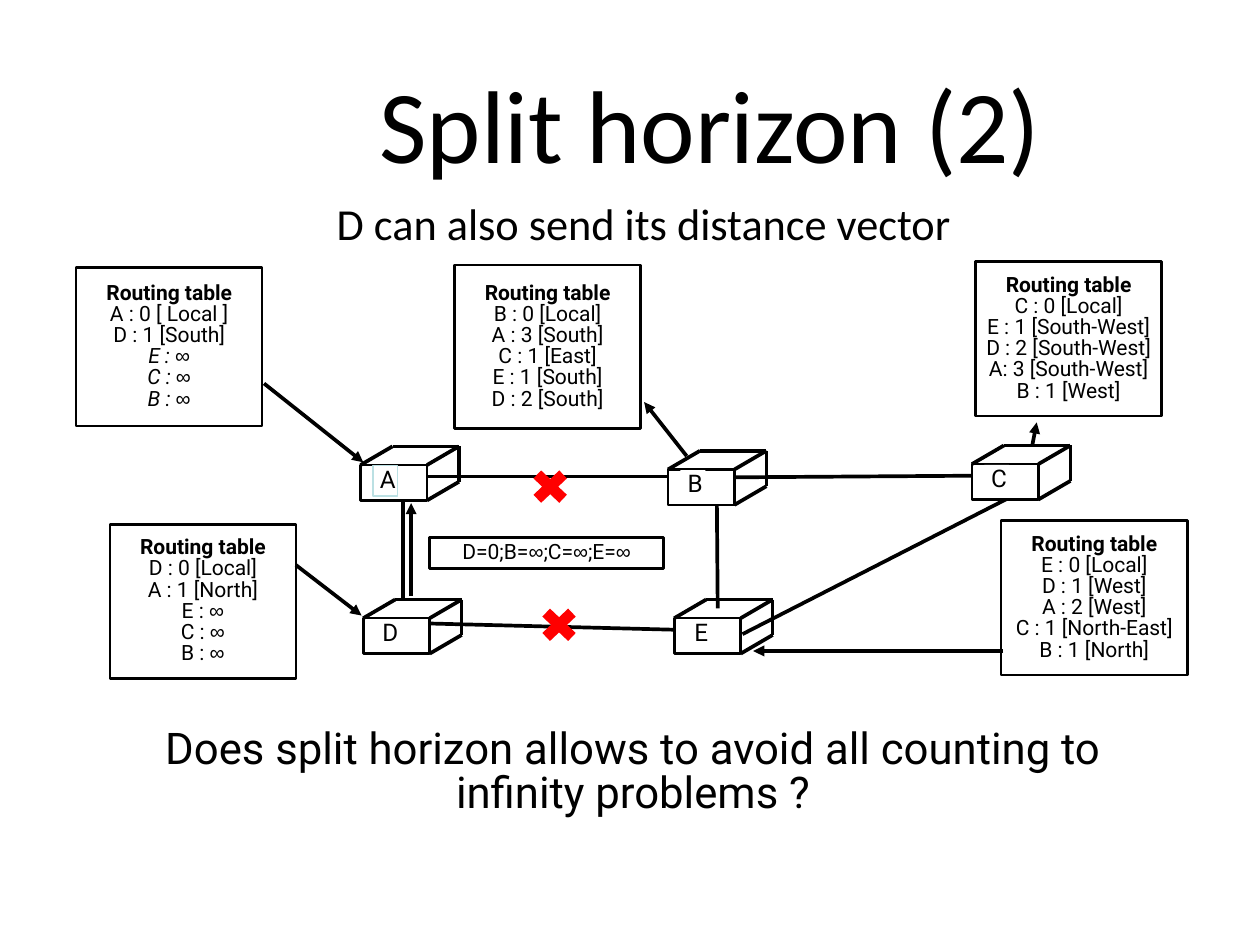
from itertools import groupby

from lxml import etree
from pptx import Presentation
from pptx.dml.color import RGBColor
from pptx.enum.shapes import MSO_CONNECTOR, MSO_SHAPE
from pptx.enum.text import MSO_ANCHOR, PP_ALIGN
from pptx.oxml.ns import qn
from pptx.util import Inches, Pt

COLORS = {"ink": "000000", "paper": "FFFFFF", "frame": "BBE0E3", "failure": "FF0000"}

ROUTERS = {
    "A": (4.07, 5.25),
    "B": (7.54, 5.3),
    "C": (10.97, 5.24),
    "D": (4.1, 6.98),
    "E": (7.61, 6.98),
}

LINKS = [
    (4.55, 5.63, 4.55, 6.77),
    (4.84, 7.04, 7.98, 7.12),
    (4.77, 5.38, 7.94, 5.38),
    (8.09, 5.61, 8.1, 6.87),
    (8.38, 7.16, 11.37, 5.63),
    (8.24, 5.39, 11.22, 5.37),
]

ARROWS = [
    (2.98, 4.33, 4.1, 5.22),
    (7.75, 5.15, 7.27, 4.54),
    (11.65, 5.03, 11.7, 4.77),
    (11.32, 7.35, 8.5, 7.35),
    (3.34, 6.38, 4.08, 6.95),
    (4.64, 6.73, 4.64, 5.68),
]

TABLES = [
    (0.86, 3.02, 1.79, True,
     ["A : 0 [ Local ]", "D : 1 [South]", "E : ∞", "C : ∞", "B : ∞"]),
    (5.13, 2.99, 1.85, False,
     ["B : 0 [Local]", "A : 3 [South]", "C : 1 [East]", "E : 1 [South]", "D : 2 [South]"]),
    (11.01, 2.95, 1.75, False,
     ["C : 0 [Local]", "E : 1 [South-West]", "D : 2 [South-West]",
      "A: 3 [South-West]", "B : 1 [West]"]),
    (1.24, 5.92, 1.74, False,
     ["D : 0 [Local]", "A : 1 [North]", "E : ∞", "C : ∞", "B : ∞"]),
    (11.3, 5.88, 1.74, False,
     ["E : 0 [Local]", "D : 1 [West]", "A : 2 [West]", "C : 1 [North-East]", "B : 1 [North]"]),
]

FAILURES = [(5.93, 5.23), (6.03, 6.79)]


class Diagram:
    font = "Roboto"
    symbol_font = "Arial"
    heading_font = "Calibri"
    spacing = 0.84
    table_size = 17.1

    def __init__(self, slide):
        self.slide = slide

    def color(self, name):
        return RGBColor.from_string(COLORS[name])

    def frame(self, tf, inset=0, anchor=MSO_ANCHOR.MIDDLE):
        tf.word_wrap = True
        tf.vertical_anchor = anchor
        tf.margin_left = tf.margin_right = Inches(inset)
        tf.margin_top = tf.margin_bottom = Inches(inset)

    def paragraph(self, p, text, size, font=None, bold=False, italic=False):
        p.alignment = PP_ALIGN.CENTER
        p.line_spacing = self.spacing
        for infinite, chars in groupby(text, lambda c: c == "∞"):
            r = p.add_run()
            r.text = "".join(chars)
            r.font.name = self.symbol_font if infinite else font or self.font
            r.font.size = Pt(size)
            r.font.bold = bold
            r.font.italic = italic and not infinite
            r.font.color.rgb = self.color("ink")

    def text(self, x, y, w, h, text, size, font=None, inset=0, anchor=MSO_ANCHOR.MIDDLE):
        sp = self.slide.shapes.add_textbox(Inches(x), Inches(y), Inches(w), Inches(h))
        self.frame(sp.text_frame, inset, anchor)
        self.paragraph(sp.text_frame.paragraphs[0], text, size, font)

    def shape(self, kind, x, y, w, h, fill=None, line=None, width=2):
        sp = self.slide.shapes.add_shape(kind, Inches(x), Inches(y), Inches(w), Inches(h))
        sp.shadow.inherit = False
        if fill:
            sp.fill.solid()
            sp.fill.fore_color.rgb = self.color(fill)
        else:
            sp.fill.background()
        if line:
            sp.line.color.rgb = self.color(line)
            sp.line.width = Pt(width)
        else:
            sp.line.fill.background()
        self.frame(sp.text_frame)
        return sp

    def line(self, x1, y1, x2, y2, arrow=False):
        cn = self.slide.shapes.add_connector(
            MSO_CONNECTOR.STRAIGHT, Inches(x1), Inches(y1), Inches(x2), Inches(y2))
        cn.line.color.rgb = self.color("ink")
        cn.line.width = Pt(3)
        if arrow:
            etree.SubElement(cn.line._get_or_add_ln(), qn("a:tailEnd"), type="triangle")
        etree.SubElement(cn._element.spPr, qn("a:effectLst"))

    def router(self, name, x, y, outline=None):
        w, h, dx, dy = 0.75, 0.4, 0.36, 0.21
        self.shape(MSO_SHAPE.RECTANGLE, x, y, w, h, "paper", "ink")
        for cx, cy in [(x, y), (x + w, y), (x + w, y + h)]:
            self.line(cx, cy, cx + dx, cy - dy)
        self.line(x + dx, y - dy, x + w + dx, y - dy)
        self.line(x + w + dx, y - dy, x + w + dx, y + h - dy)
        label = self.shape(MSO_SHAPE.RECTANGLE, x + 0.14, y + 0.01, 0.28, 0.34,
                           "paper", outline, 1)
        tf = label.text_frame
        tf.margin_left = Inches(0.05)
        self.paragraph(tf.paragraphs[0], name, 19.7)

    def routing_table(self, x, y, h, italic, routes):
        tf = self.shape(MSO_SHAPE.RECTANGLE, x, y, 2.1, h, line="ink").text_frame
        self.paragraph(tf.paragraphs[0], "Routing table", self.table_size, bold=True)
        for route in routes:
            self.paragraph(tf.add_paragraph(), route, self.table_size,
                           italic=italic and "∞" in route)

    def message(self, x, y, w, h, text):
        tf = self.shape(MSO_SHAPE.RECTANGLE, x, y, w, h, line="ink").text_frame
        self.paragraph(tf.paragraphs[0], text, self.table_size)

    def failure(self, x, y):
        self.shape(MSO_SHAPE.MATH_MULTIPLY, x, y, 0.56, 0.53, "failure")


def main():
    prs = Presentation()
    prs.slide_width = Inches(14.22)
    prs.slide_height = Inches(10.67)
    d = Diagram(prs.slides.add_slide(prs.slide_layouts[6]))

    d.text(2.71, 0.41, 10.61, 1.73, "Split horizon (2)", 84,
           d.heading_font, 0.06, MSO_ANCHOR.BOTTOM)
    d.text(1.38, 2.25, 11.77, 0.85, "D can also send its distance vector", 36,
           d.heading_font, 0.06, MSO_ANCHOR.TOP)
    for link in LINKS:
        d.line(*link)
    for name, (x, y) in ROUTERS.items():
        d.router(name, x, y, "frame" if name == "A" else None)
    for table in TABLES:
        d.routing_table(*table)
    for arrow in ARROWS:
        d.line(*arrow, arrow=True)
    d.message(4.85, 6.07, 2.64, 0.35, "D=0;B=∞;C=∞;E=∞")
    d.text(1.1, 8.1, 12.09, 1.27,
           "Does split horizon allows to avoid all counting to infinity problems ?", 35.5)
    for spot in FAILURES:
        d.failure(*spot)

    prs.save("out.pptx")


if __name__ == "__main__":
    main()
